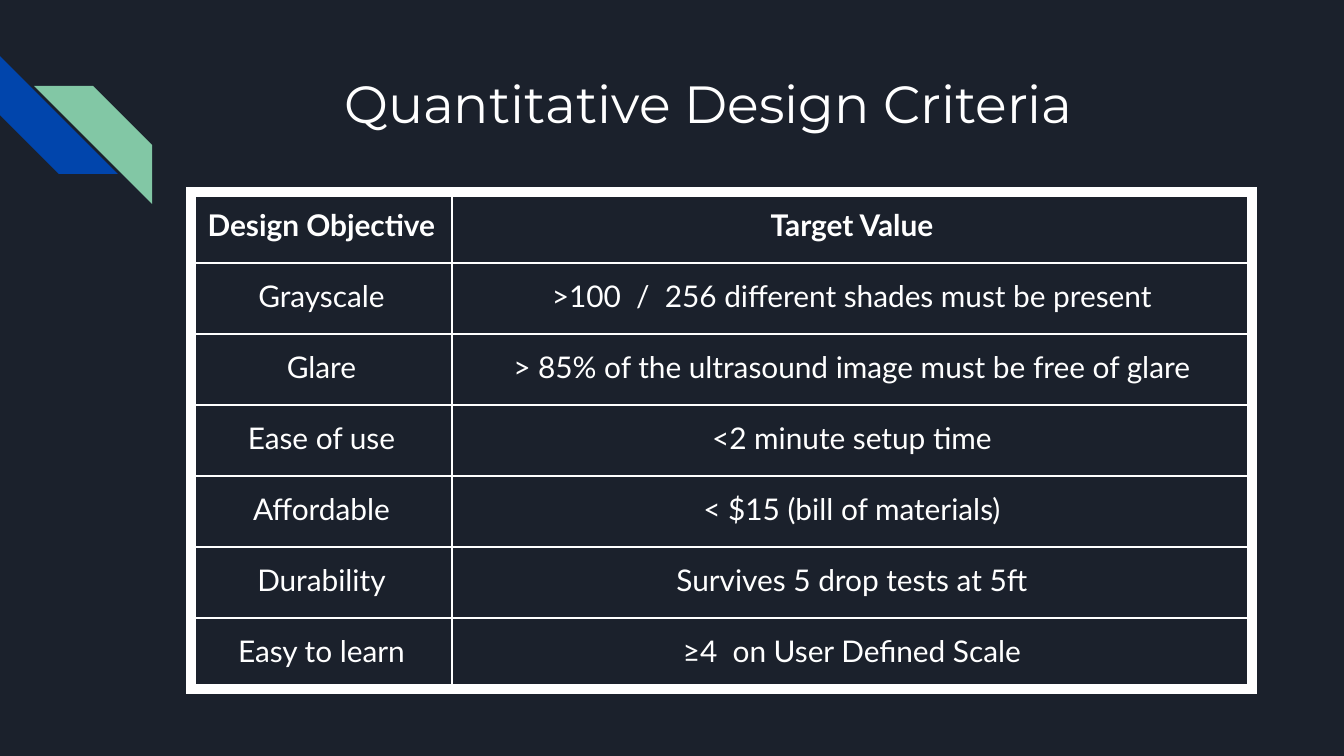
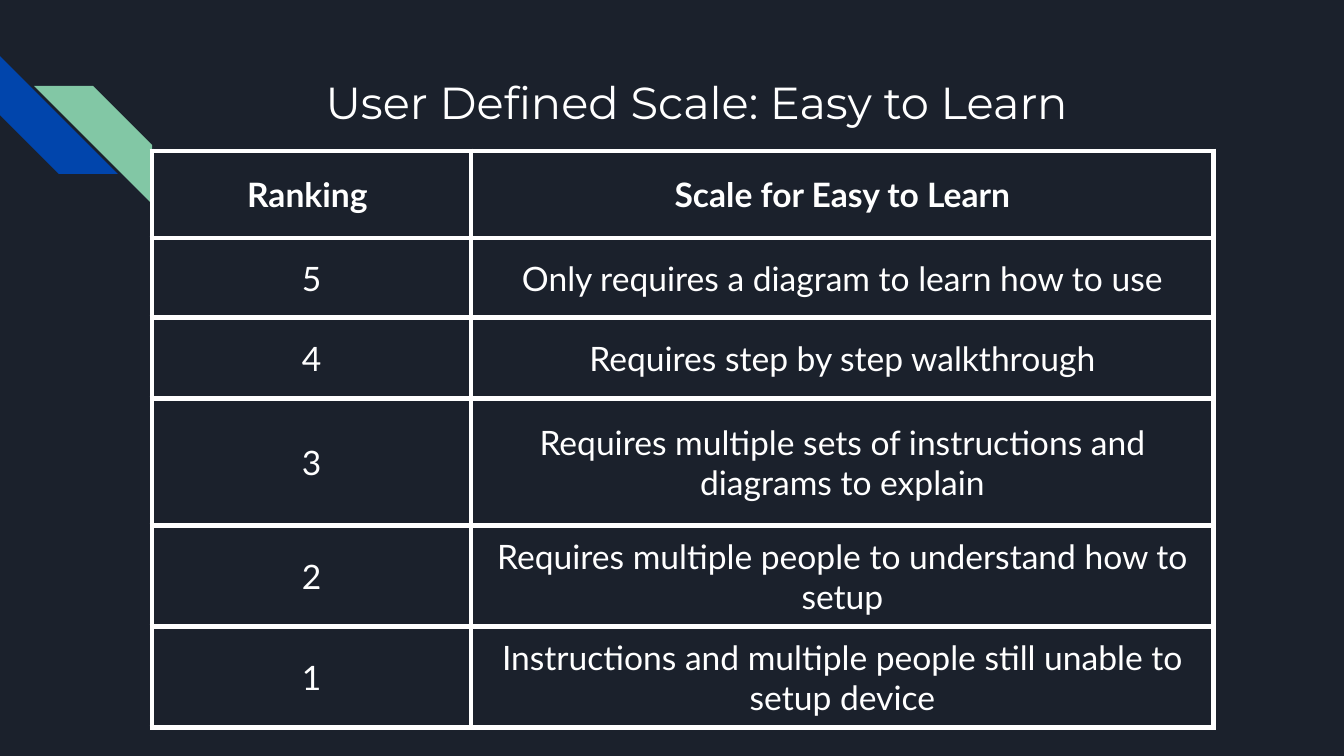
import pptx
import pptx.dml.color
import pptx.enum.shapes
import pptx.enum.text
import pptx.oxml.ns
import pptx.util
from lxml import etree

EMU_PER_PIXEL = 914400 / 134.4
TITLE_ONLY = 5

NAVY = "1B212C"
WHITE = "FFFFFF"
BLUE = "0145AC"
GREEN = "82C7A5"

TITLE_FONT = "Montserrat"
BODY_FONT = "Lato"
TITLE_SIZE = (1035, 134)
TITLE_INSET = 13
CELL_INSET = 10
STRIPE_SIZE = 118

CRITERIA = [
    ("Design Objective", "Target Value"),
    ("Grayscale", ">100  /  256 different shades must be present"),
    ("Glare", "> 85% of the ultrasound image must be free of glare"),
    ("Ease of use", "<2 minute setup time"),
    ("Affordable", "< $15 (bill of materials)"),
    ("Durability", "Survives 5 drop tests at 5ft"),
    ("Easy to learn", "≥4  on User Defined Scale"),
]
RANKINGS = [
    ("Ranking ", "Scale for Easy to Learn"),
    ("5", "Only requires a diagram to learn how to use"),
    ("4", "Requires step by step walkthrough"),
    ("3", "Requires multiple sets of instructions and diagrams to explain"),
    ("2", "Requires multiple people to understand how to setup"),
    ("1", "Instructions and multiple people still unable to setup device"),
]


def px(length):
    return pptx.util.Emu(round(length * EMU_PER_PIXEL))


def color(hex_string):
    return pptx.dml.color.RGBColor.from_string(hex_string)


def paint(fill, hex_string):
    fill.solid()
    fill.fore_color.rgb = color(hex_string)


def set_insets(holder, inset):
    """Give a text frame or table cell the same margin on all sides."""
    holder.margin_left = holder.margin_right = px(inset)
    holder.margin_top = holder.margin_bottom = px(inset)


def style_paragraph(paragraph, font_name, size, bold=False, line_spacing=1.0):
    paragraph.alignment = pptx.enum.text.PP_ALIGN.CENTER
    paragraph.line_spacing = line_spacing
    paragraph.font.name = font_name
    paragraph.font.size = pptx.util.Pt(size)
    paragraph.font.bold = bold
    paragraph.font.color.rgb = color(WHITE)


def add_stripe(slide, left, top, rotation, fill_color):
    stripe = slide.shapes.add_shape(
        pptx.enum.shapes.MSO_SHAPE.DIAGONAL_STRIPE,
        px(left), px(top), px(STRIPE_SIZE), px(STRIPE_SIZE))
    stripe.rotation = rotation
    stripe.shadow.inherit = False
    paint(stripe.fill, fill_color)
    stripe.line.fill.background()


def set_title(slide, text, left, top, size, line_spacing=1.0):
    title = slide.shapes.title
    title.left, title.top = px(left), px(top)
    title.width, title.height = map(px, TITLE_SIZE)
    frame = title.text_frame
    frame.text = text
    frame.word_wrap = True
    frame.auto_size = pptx.enum.text.MSO_AUTO_SIZE.NONE
    frame.vertical_anchor = pptx.enum.text.MSO_ANCHOR.TOP
    set_insets(frame, TITLE_INSET)
    style_paragraph(frame.paragraphs[0], TITLE_FONT, size, line_spacing=line_spacing)


def add_slide(deck, title, left, top, size, line_spacing=1.0):
    slide = deck.slides.add_slide(deck.slide_layouts[TITLE_ONLY])
    add_stripe(slide, 0, 56, 270, BLUE)
    add_stripe(slide, 34, 86, 90, GREEN)
    set_title(slide, title, left, top, size, line_spacing)
    return slide


def add_border(cell, side, points):
    """Draw one cell edge; side is L, R, T or B."""
    qn = pptx.oxml.ns.qn
    properties = cell._tc.get_or_add_tcPr()
    line = etree.SubElement(properties, qn(f"a:ln{side}"), w=str(pptx.util.Pt(points)))
    fill = etree.SubElement(line, qn("a:solidFill"))
    etree.SubElement(fill, qn("a:srgbClr"), val=WHITE)


def add_grid(slide, rows, left, top, widths, heights, size, anchor,
             inner, outer, line_spacing=1.0):
    """Add a table; inner and outer are border widths in points."""
    frame = slide.shapes.add_table(
        len(rows), len(widths), px(left), px(top), px(sum(widths)), px(sum(heights)))
    table = frame.table
    table.first_row = table.horz_banding = False
    for column, width in zip(table.columns, widths):
        column.width = px(width)
    for row, height in zip(table.rows, heights):
        row.height = px(height)

    last_row, last_column = len(rows) - 1, len(widths) - 1
    for i, texts in enumerate(rows):
        for j, text in enumerate(texts):
            cell = table.cell(i, j)
            cell.text = text
            cell.vertical_anchor = anchor
            set_insets(cell, CELL_INSET)
            style_paragraph(cell.text_frame.paragraphs[0], BODY_FONT, size,
                            bold=i == 0, line_spacing=line_spacing)
            edges = {"L": j == 0, "R": j == last_column,
                     "T": i == 0, "B": i == last_row}
            for side, is_outer in edges.items():
                add_border(cell, side, outer if is_outer else inner)
            cell.fill.background()


def add_criteria_slide(deck):
    slide = add_slide(deck, "Quantitative Design Criteria", 191, 58, 28)
    add_grid(slide, CRITERIA, 191, 192, [261, 800], [71] * len(CRITERIA), 16,
             pptx.enum.text.MSO_ANCHOR.TOP, inner=1, outer=6, line_spacing=1.15)


def add_ranking_slide(deck):
    slide = add_slide(deck, "User Defined Scale: Easy to Learn", 179, 35, 24,
                      line_spacing=1.5)
    add_grid(slide, RANKINGS, 152, 151, [319, 743], [87, 80, 81, 127, 101, 101], 18,
             pptx.enum.text.MSO_ANCHOR.MIDDLE, inner=3, outer=3)


def main():
    deck = pptx.Presentation()
    deck.slide_width, deck.slide_height = px(1344), px(756)
    paint(deck.slide_master.background.fill, NAVY)
    add_criteria_slide(deck)
    add_ranking_slide(deck)
    deck.save("out.pptx")


if __name__ == "__main__":
    main()
